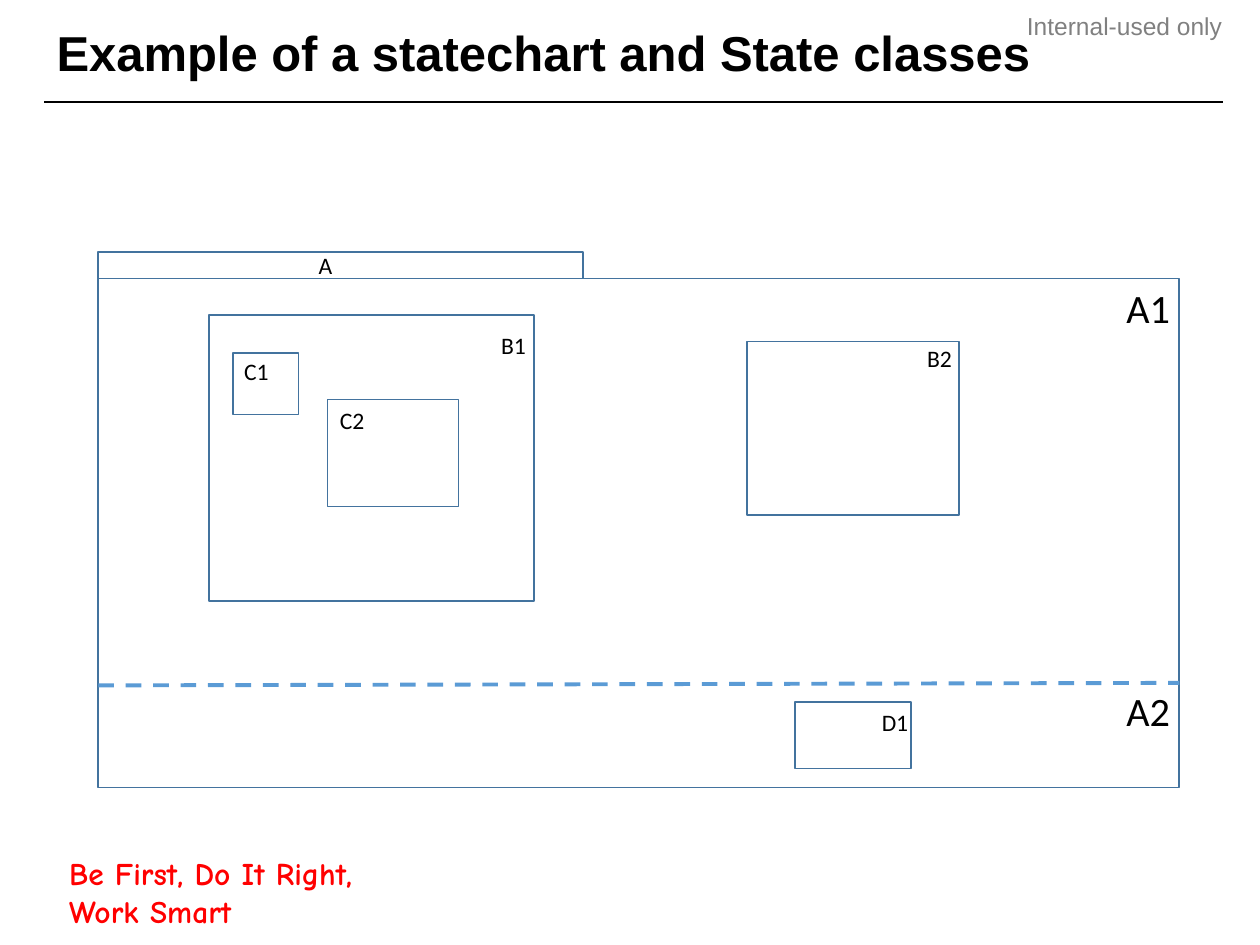
from lxml.etree import SubElement
from pptx import Presentation
from pptx.dml.color import RGBColor
from pptx.enum.dml import MSO_LINE
from pptx.enum.shapes import MSO_CONNECTOR, MSO_SHAPE
from pptx.enum.text import MSO_ANCHOR as ANCHOR, MSO_AUTO_SIZE as AUTO_SIZE, PP_ALIGN as ALIGN
from pptx.oxml.ns import qn
from pptx.util import Inches, Pt

STATE_LABEL = {"name": "Calibri", "size": Pt(13.5)}
REGION_LABEL = {"name": "Calibri", "size": Pt(23)}
TITLE = {"name": "Arial", "size": Pt(28), "bold": True}
MOTTO = {"name": "Comic Neue", "size": Pt(18), "bold": True}
NOTICE = {"name": "Arial", "size": Pt(14)}

STATES = [
    (0.78, 2.21, 8.58, 4.04, "FFFFFF"),
    (0.78, 2, 3.85, 0.21, None),
    (1.66, 2.5, 2.58, 2.27, None),
    (5.93, 2.71, 1.68, 1.38, None),
    (1.85, 2.8, 0.52, 0.49, None),
    (2.6, 3.17, 1.04, 0.85, None),
    (6.31, 5.57, 0.92, 0.53, None),
]
RULES = [
    (0.35, 0.81, 9.71, 0.81, "000000", 1, None),
    (0.78, 5.44, 9.36, 5.42, "5B9BD5", 2.25, MSO_LINE.DASH),
]
STATE_NAMES = [
    ("A", 2.43, 1.94, 0.31),
    ("B1", 3.88, 2.58, 0.4),
    ("B2", 7.26, 2.68, 0.4),
    ("C1", 1.84, 2.78, 0.4),
    ("C2", 2.6, 3.17, 0.4),
    ("D1", 6.9, 5.57, 0.41),
]
REGION_NAMES = [("A1", 8.84, 2.2), ("A2", 8.84, 5.4)]


def rgb(value):
    return RGBColor.from_string(value)


def apply(target, values):
    for key, value in values.items():
        setattr(target, key, value)


def add_state(left, top, width, height, fill):
    state = slide.shapes.add_shape(MSO_SHAPE.RECTANGLE, *map(Inches, (left, top, width, height)))
    state.shadow.inherit = False
    if fill:
        state.fill.solid()
        state.fill.fore_color.rgb = rgb(fill)
    else:
        state.fill.background()
    state.line.color.rgb = rgb("43739E")
    state.line.width = Pt(1)


def add_rule(x1, y1, x2, y2, color, width, dash):
    rule = slide.shapes.add_connector(MSO_CONNECTOR.STRAIGHT, *map(Inches, (x1, y1, x2, y2)))
    rule.line.color.rgb = rgb(color)
    apply(rule.line, {"width": Pt(width), "dash_style": dash})
    SubElement(rule.element.spPr, qn("a:effectLst"))


def add_label(words, at, style, color="000000", frame=None, paragraph=None):
    text = slide.shapes.add_textbox(*map(Inches, at)).text_frame
    apply(text, {"word_wrap": True, **(frame or {})})
    line = text.paragraphs[0]
    apply(line, paragraph or {})
    run = line.add_run()
    run.text = words
    apply(run.font, style)
    run.font.color.rgb = rgb(color)


deck = Presentation()
apply(deck, {"slide_width": Inches(10), "slide_height": Inches(7.5)})
slide = deck.slides.add_slide(deck.slide_layouts[6])

no_margins = dict.fromkeys(("margin_left", "margin_top", "margin_right", "margin_bottom"), 0)
middle = {"vertical_anchor": ANCHOR.MIDDLE}
one_line = {"word_wrap": False, "auto_size": AUTO_SIZE.SHAPE_TO_FIT_TEXT}

add_label("Internal-used only", (7.97, 0.09, 1.73, 0.24), NOTICE, "808080",
          no_margins, {"alignment": ALIGN.RIGHT})
add_label("Be First, Do It Right, Work Smart", (0.45, 6.96, 2.68, 0.24), MOTTO, "FF0000", middle)
add_label("Example of a statechart and State classes", (0.35, 0.08, 9.35, 0.73), TITLE,
          frame=middle, paragraph={"line_spacing": 0.9})

for state in STATES:
    add_state(*state)
for rule in RULES:
    add_rule(*rule)
for name, left, top, width in STATE_NAMES:
    add_label(name, (left, top, width, 0.33), STATE_LABEL, frame=one_line)
for name, left, top in REGION_NAMES:
    add_label(name, (left, top, 0.59, 0.49), REGION_LABEL)

deck.save("out.pptx")
